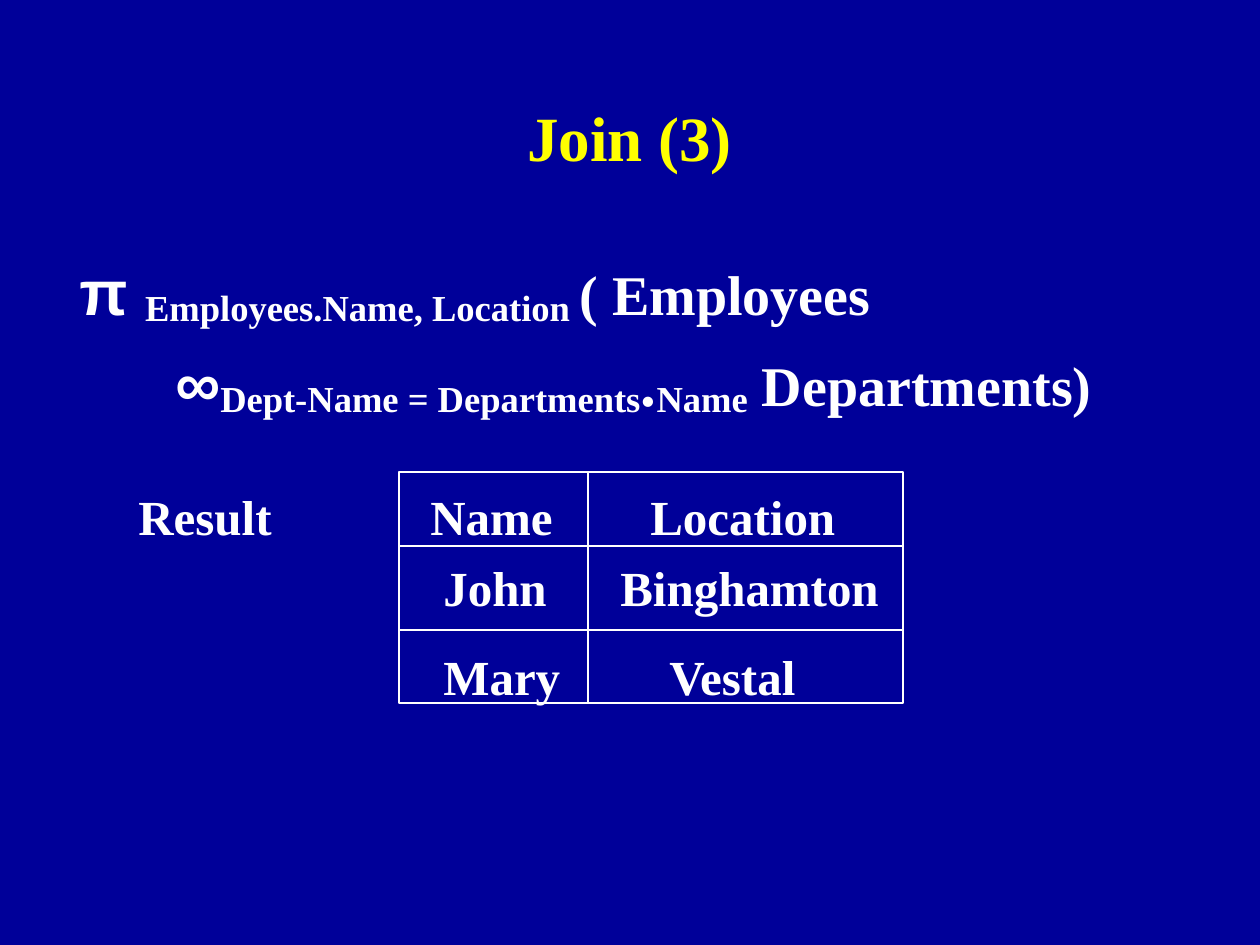
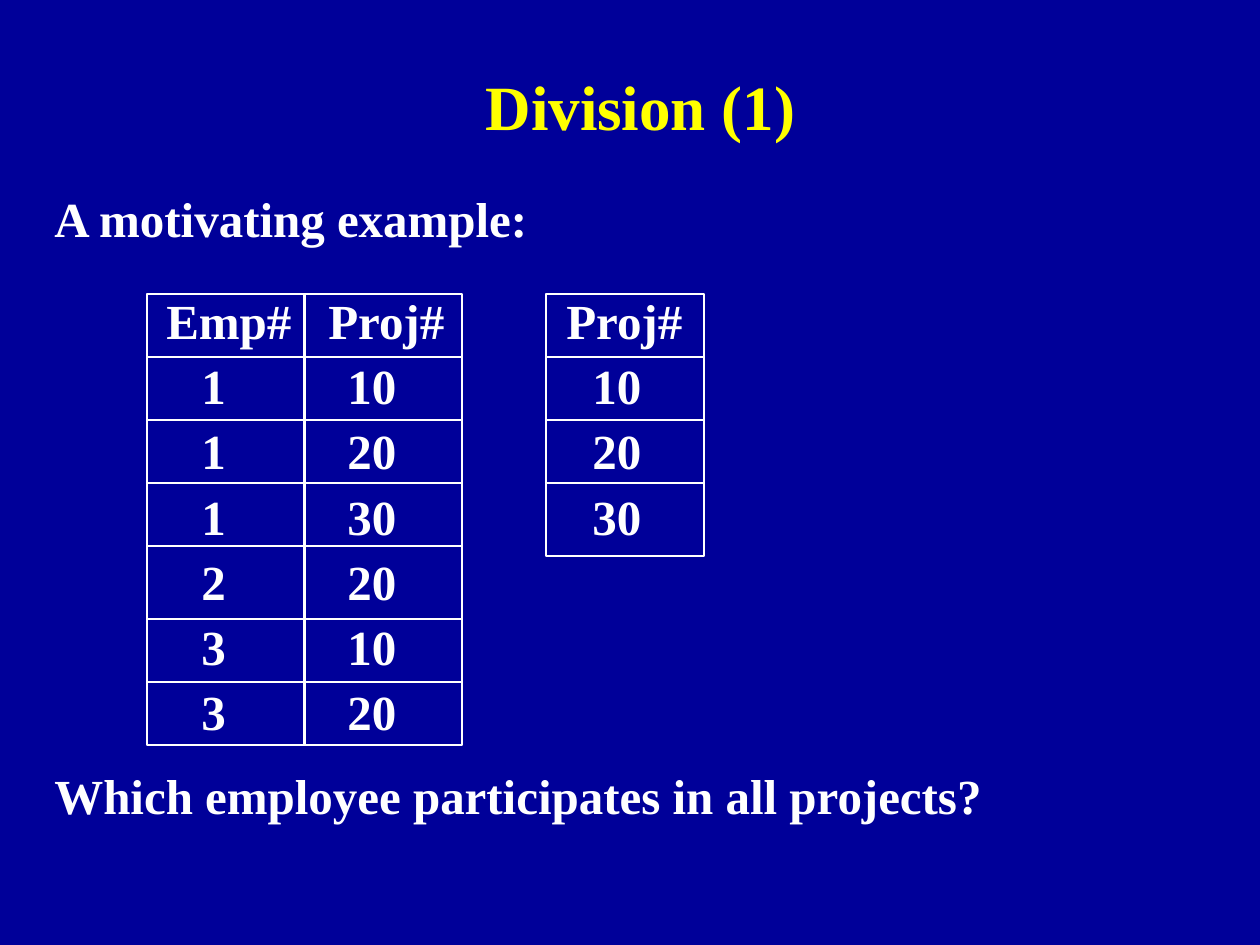
from pptx import Presentation, util as u
from pptx.dml.color import RGBColor
from pptx.enum import shapes, text
from pptx.oxml.ns import qn
from lxml import etree

PX = 914400 / 126
NAVY = RGBColor(0x00, 0x00, 0x99)
WHITE = RGBColor(0xFF, 0xFF, 0xFF)
YELLOW = RGBColor(0xFF, 0xFF, 0x00)
SERIF, SANS = "Times New Roman", "Arial"
TITLE_SIZE, BODY_SIZE = 36, 28
LINE_WIDTH = u.Pt(1.5)


def px(length):
    return u.Emu(round(length * PX))


def style_font(font, size=BODY_SIZE, color=WHITE, name=SERIF):
    font.name, font.size, font.bold = name, u.Pt(size), True
    font.color.rgb = color


def add_box(slide, left, top, width, height):
    frame = slide.shapes.add_textbox(px(left), px(top), px(width), px(height)).text_frame
    frame.word_wrap = True
    return frame


def add_titled_slide(prs, title, left, top, height):
    slide = prs.slides.add_slide(prs.slide_layouts[6])
    frame = add_box(slide, left, top, 1071, height)
    frame.vertical_anchor = text.MSO_ANCHOR.MIDDLE
    heading = frame.paragraphs[0]
    heading.text = title
    heading.alignment = text.PP_ALIGN.CENTER
    style_font(heading.font, TITLE_SIZE, YELLOW)
    return slide


def next_paragraph(frame, before, spacing):
    """Return the first paragraph while it is empty, else a new one."""
    first = frame.paragraphs[0]
    paragraph = frame.add_paragraph() if first.runs else first
    paragraph.space_before = u.Pt(before)
    paragraph.line_spacing = spacing
    return paragraph


def add_line(frame, words, stops=(), before=7, spacing=1.0):
    """Add a line of words, each one after a tab to its stop if stops are given."""
    line = next_paragraph(frame, before, spacing)
    if stops:
        tabs = etree.SubElement(line._p.get_or_add_pPr(), qn("a:tabLst"))
        for stop in stops:
            etree.SubElement(tabs, qn("a:tab"), pos=str(px(stop)), algn="l")
        line.text = "".join("\t" + word for word in words)
    else:
        line.text = words
    style_font(line.font)


def add_expression(frame, terms, indent, before, spacing=1.0):
    """Write algebra terms, each (words, size, font name, is subscript)."""
    expression = next_paragraph(frame, before, spacing)
    expression._p.get_or_add_pPr().set("marL", str(px(indent)))
    for words, size, name, subscript in terms:
        term = expression.add_run()
        term.text = words
        style_font(term.font, size, name=name)
        if subscript:
            term._r.get_or_add_rPr().set("baseline", "-10000")


def add_rule(slide, x1, y1, x2, y2):
    rule = slide.shapes.add_connector(shapes.MSO_CONNECTOR.STRAIGHT,
                                      px(x1), px(y1), px(x2), px(y2))
    rule.line.color.rgb, rule.line.width = WHITE, LINE_WIDTH
    etree.SubElement(rule._element.spPr, qn("a:effectLst"))
    return rule


def draw_grid(slide, columns, rows):
    """Frame a relation and rule it at the inner column and row edges."""
    left, *inner_columns, right = columns
    top, *inner_rows, bottom = rows
    outline = slide.shapes.add_shape(shapes.MSO_SHAPE.RECTANGLE, px(left), px(top),
                                     px(right - left), px(bottom - top))
    outline.shadow.inherit = False
    outline.fill.background()
    outline.line.color.rgb, outline.line.width = WHITE, LINE_WIDTH
    for y in inner_rows:
        add_rule(slide, left, y, right, y)
    for x in inner_columns:
        divider = add_rule(slide, x, top, x, bottom)
        if abs(left + right - 2 * x) <= 1:
            divider.begin_connect(outline, 0)
            divider.end_connect(outline, 2)


def build_join(prs):
    slide = add_titled_slide(prs, "Join (3)", 94, 84, 105)
    body = add_box(slide, 53, 231, 1176, 599)
    add_expression(body, [
        ("π ", 36, SANS, False),
        ("Employees.Name, Location ", 36, SERIF, True),
        ("( Employees", 32, SERIF, False),
    ], indent=14, before=9, spacing=1.2)
    add_expression(body, [
        ("∞", 36, SANS, False),
        ("Dept-Name = Departments", 36, SERIF, True),
        (".", 36, SERIF, False),
        ("Name", 36, SERIF, True),
        (" Departments)", 32, SERIF, False),
    ], indent=110, before=8)
    add_line(body, ["Result", "Name", "Location"], [73, 365, 585], before=28, spacing=1.3)
    add_line(body, ["John", "Binghamton"], [378, 555])
    add_line(body, ["Mary", "Vestal"], [378, 604], spacing=1.3)
    draw_grid(slide, [399, 588, 903], [472, 546, 630, 703])


def build_division(prs):
    slide = add_titled_slide(prs, "Division (1)", 105, 63, 84)
    body = add_box(slide, 42, 189, 1187, 703)
    add_line(body, "A motivating example:", spacing=0.9)
    add_line(body, ["Emp#", "Proj#", "Proj#"], [112, 274, 512], before=28, spacing=0.9)
    for values in [("1", "10", "10"), ("1", "20", "20"), ("1", "30", "30"),
                   ("2", "20"), ("3", "10"), ("3", "20")]:
        add_line(body, values, [147, 293, 538], spacing=0.9)
    add_line(body, "Which employee participates in all projects?", spacing=1.2)
    shared_rows = [294 + 63 * row for row in range(4)]
    draw_grid(slide, [147, 304, 462], shared_rows + [546, 619, 682, 745])
    draw_grid(slide, [546, 704], shared_rows + [556])


def main():
    prs = Presentation()
    prs.slide_width, prs.slide_height = px(1260), px(945)
    backdrop = prs.slide_master.background.fill
    backdrop.solid()
    backdrop.fore_color.rgb = NAVY
    build_join(prs)
    build_division(prs)
    prs.save("out.pptx")


if __name__ == "__main__":
    main()
